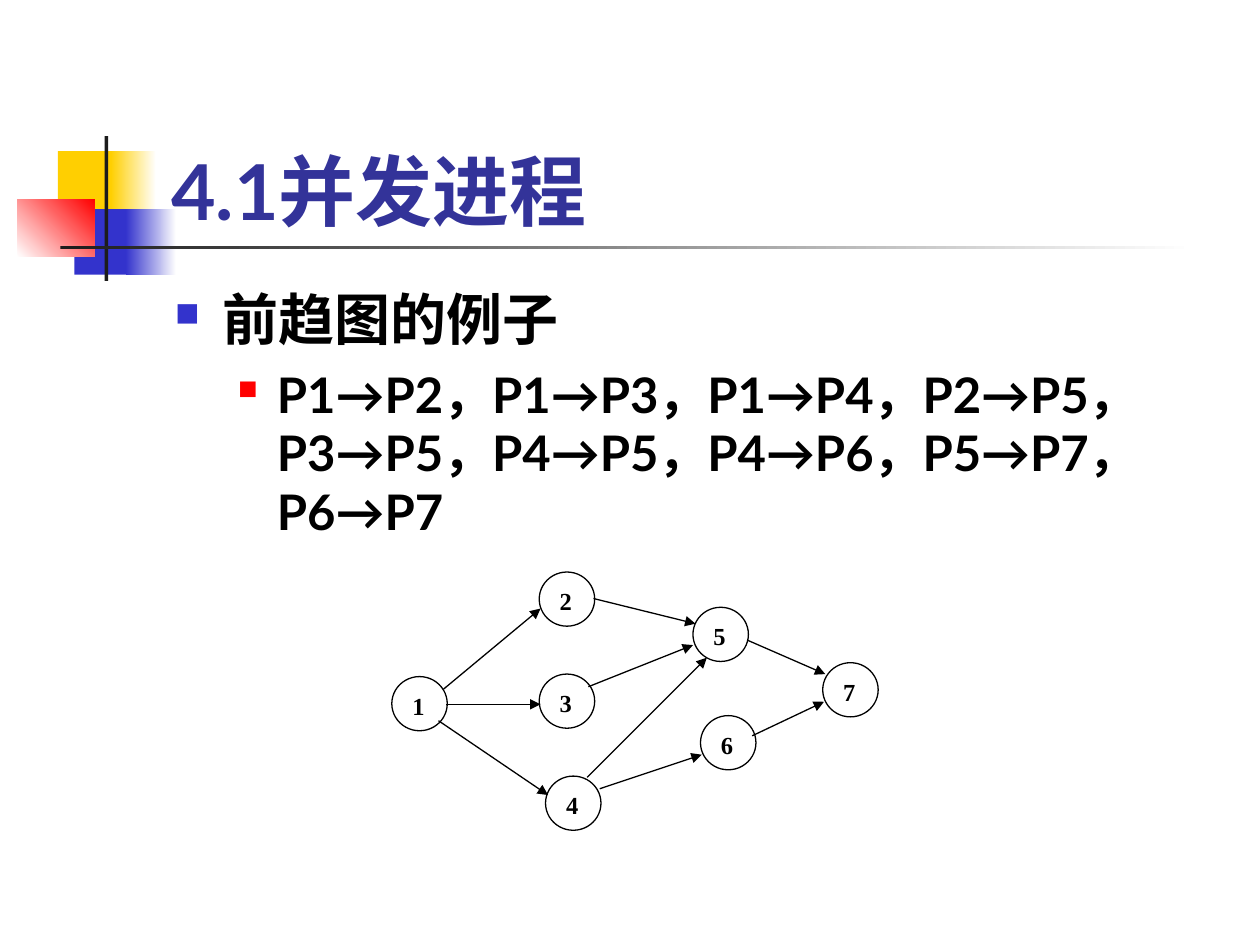
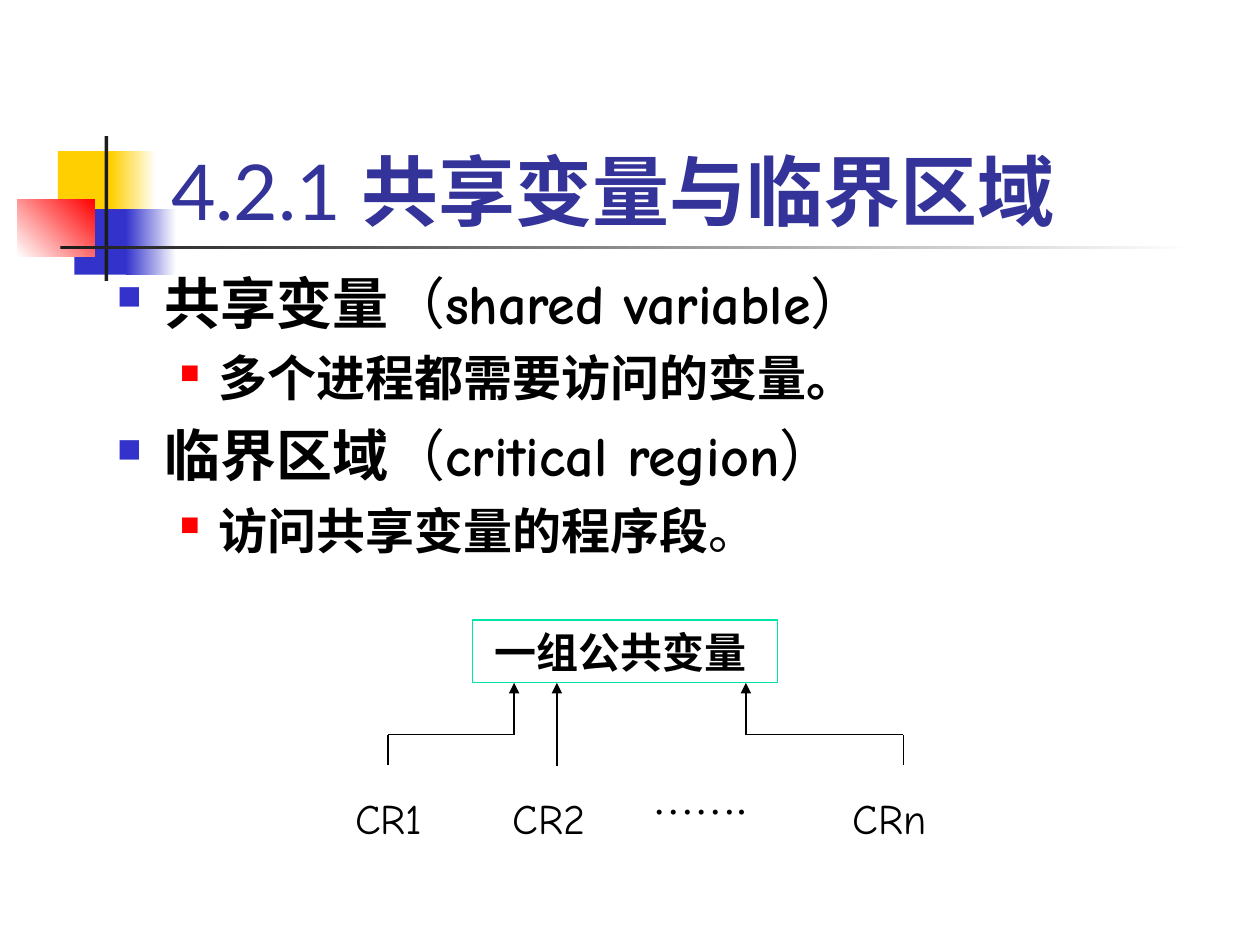
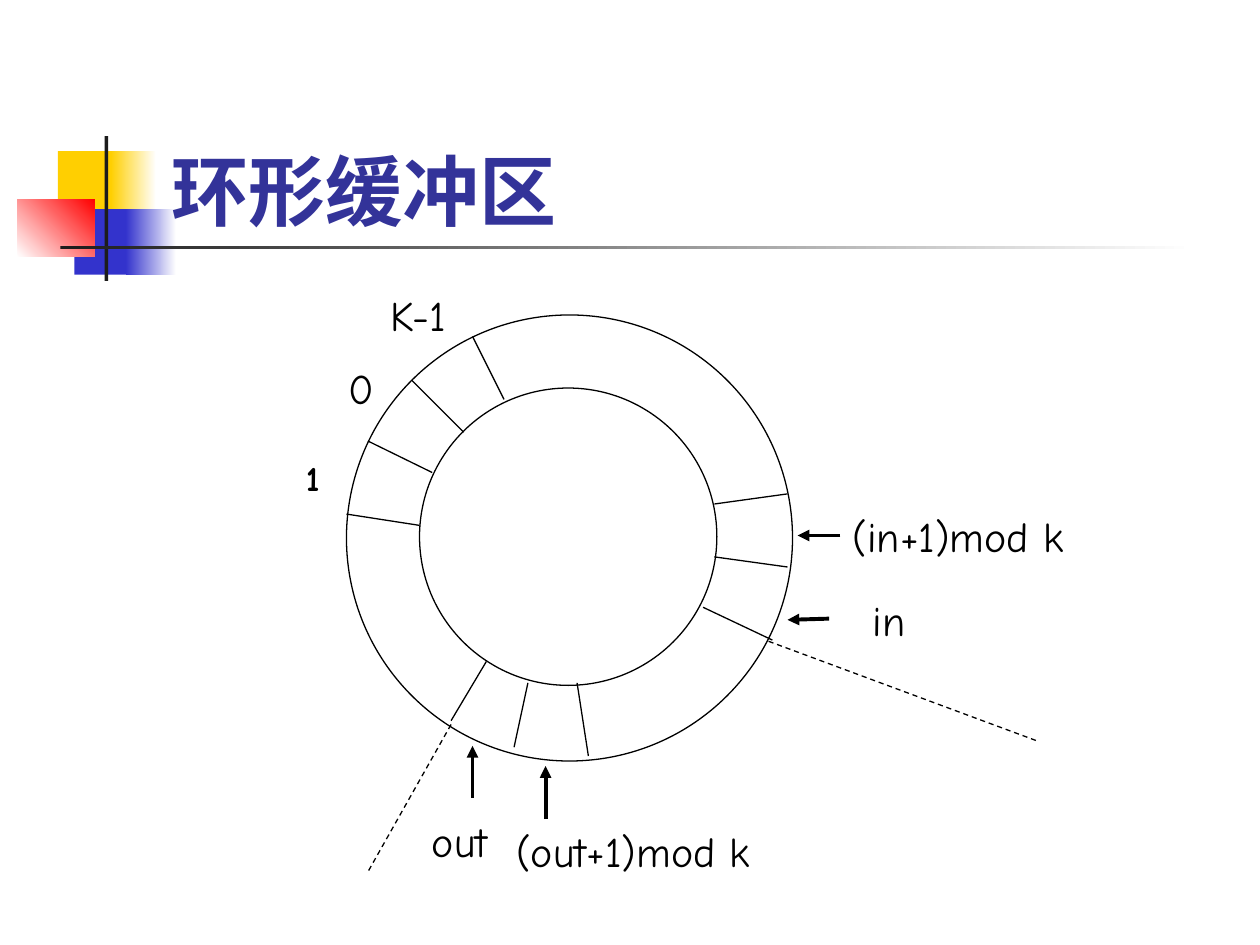
from lxml.etree import SubElement
from pptx import Presentation
from pptx.dml.color import RGBColor
from pptx.enum.dml import MSO_LINE
from pptx.enum.shapes import MSO_CONNECTOR, MSO_SHAPE
from pptx.enum.text import MSO_ANCHOR, PP_ALIGN
from pptx.oxml.ns import qn
from pptx.util import Inches, Pt

BLACK = RGBColor(0, 0, 0)
WHITE = RGBColor(255, 255, 255)
INK = RGBColor(0x1C, 0x1C, 0x1C)
NAVY = RGBColor(0x33, 0x33, 0x99)
BLUE = RGBColor(0x33, 0x33, 0xCC)
GOLD = RGBColor(0xFF, 0xCF, 0x01)
RED = RGBColor(255, 0, 0)
MINT = RGBColor(0x00, 0xE4, 0xA8)
LATO, COMIC, TIMES = "Lato", "Comic Neue", "Times New Roman"

BANDS = [
    ((0.46, 1.2, 0.48, 0.52), (GOLD,), 0),
    ((0.88, 1.2, 0.36, 0.52), (GOLD, WHITE), 0),
    ((0.59, 1.66, 0.46, 0.52), (BLUE,), 0),
    ((1, 1.66, 0.4, 0.52), (BLUE, WHITE), 0),
    ((0.14, 1.58, 0.61, 0.46), (WHITE, RED), 45),
    ((0.83, 1.08, 0.03, 1.15), (INK,), 0),
    ((0.48, 1.95, 9, 0.03), (INK, WHITE), 0),
]
TITLE = (1.26, 0.67, 8.52, 1.25)
LEVELS = [
    dict(size=32, left=0.38, hang=0.38, before=8, color=BLUE, share=60),
    dict(size=28, left=0.81, hang=0.31, before=7, color=RED, share=55),
]

GRAPH_TEXT = [
    (0, [("前趋图的例子", True, LATO)]),
    (1, [("P1→P2，P1→P3，P1→P4，P2→P5，P3→P5，P4→P5，P4→P6，P5→P7，P6→P7", True, LATO)]),
]
NODES = [(3.11, 5.37), (4.28, 4.54), (4.28, 5.35), (4.33, 6.16),
         (5.5, 4.82), (5.56, 5.68), (6.53, 5.26)]
EDGES = [
    (3.52, 5.47, 4.29, 4.83), (3.54, 5.59, 4.29, 5.59), (3.48, 5.72, 4.35, 6.31),
    (4.76, 6.26, 5.57, 5.99), (4.67, 5.45, 5.5, 5.12), (4.71, 4.75, 5.52, 4.95),
    (5.93, 5.08, 6.55, 5.35), (5.97, 5.84, 6.54, 5.57), (4.66, 6.17, 5.61, 5.22),
]

SHARED_TEXT = [
    (0, [("共享变量", True, LATO), ("（", False, LATO),
         ("shared variable", True, COMIC), ("）", False, LATO)]),
    (1, [("多个进程都需要访问的变量。", True, LATO)]),
    (0, [("临界区域", True, LATO), ("（", False, LATO),
         ("critical region", True, COMIC), ("）", False, LATO)]),
    (1, [("访问共享变量的程序段", True, LATO), ("。", False, LATO)]),
]
REGIONS = [("CR1", 2.72, 0.87), ("CR2", 3.97, 0.87), ("CRn", 6.67, 0.92)]
BENDS = [(3.08, 4.08), (7.17, 5.92)]
FOOT, BEND, POOL = 6.07, 5.83, 5.42

RINGS = [(2.75, 2.5, 3.54, 3.54), (3.33, 3.08, 2.36, 2.36)]
SPOKES = [
    (3.27, 3.02, 3.68, 3.43), (3.75, 2.67, 4, 3.17), (2.92, 3.5, 3.43, 3.75),
    (2.75, 4.08, 3.33, 4.17), (5.67, 4.42, 6.25, 4.5), (5.58, 4.82, 6.13, 5.08),
    (5.67, 4, 6.25, 3.92), (4.58, 5.42, 4.67, 6), (3.86, 5.25, 3.58, 5.72),
    (4.19, 5.42, 4.08, 5.93),
]
POINTERS = [(6.67, 4.25, 6.33, 4.25), (6.58, 4.91, 6.25, 4.92),
            (4.33, 6.5, 4.33, 6.08), (3.75, 6.33, 3.75, 5.92)]
DASHES = [(6.1, 5.09, 8.23, 5.88), (3.58, 5.75, 2.92, 6.92)]
LABELS = [("0", 2.67, 2.83, 0.5), ("K-1", 3, 2.25, 0.75), ("in", 6.83, 4.67, 0.5),
          ("(in+1)mod k", 6.67, 4, 2.08), ("out", 3.33, 6.42, 0.75),
          ("(out+1)mod k", 4, 6.5, 2.42)]


def place(box):
    return [Inches(v) for v in box]


def style(font, size=None, color=None, bold=None, name=None):
    if size:
        font.size = Pt(size)
    if color is not None:
        font.color.rgb = color
    if bold is not None:
        font.bold = bold
    if name:
        font.name = name


def fill_runs(para, runs, size, color=BLACK):
    same = len({run[1:] for run in runs}) == 1
    style(para.font, size, color, *(runs[0][1:] if same else ()))
    for text, bold, name in runs:
        run = para.add_run()
        run.text = text
        if not same:
            style(run.font, bold=bold, name=name)


def add_box(slide, box):
    shape = slide.shapes.add_textbox(*place(box))
    shape.text_frame.word_wrap = True
    return shape


def add_label(slide, text, box, size=24, bold=False, name=COMIC, ratio=None):
    shape = add_box(slide, box)
    para = shape.text_frame.paragraphs[0]
    para.space_before = Pt(size * 0.625)
    if ratio:
        para.line_spacing = ratio
    fill_runs(para, [(text, bold, name)], size)
    return shape


def add_line(slide, ends, width=0.75, arrow=False, dash=False):
    line = slide.shapes.add_connector(MSO_CONNECTOR.STRAIGHT, *place(ends))
    line.line.color.rgb = BLACK
    line.line.width = Pt(width)
    if dash:
        line.line.dash_style = MSO_LINE.DASH
    if arrow:
        SubElement(line.line._get_or_add_ln(), qn("a:tailEnd"), type="triangle")
    SubElement(line._element.spPr, qn("a:effectLst"))


def add_ring(slide, box):
    ring = slide.shapes.add_shape(MSO_SHAPE.OVAL, *place(box))
    ring.shadow.inherit = False
    ring.fill.solid()
    ring.fill.fore_color.rgb = WHITE
    ring.line.color.rgb = BLACK
    ring.line.width = Pt(0.75)
    return ring


def add_band(slide, box, colors, angle):
    band = slide.shapes.add_shape(MSO_SHAPE.RECTANGLE, *place(box))
    band.shadow.inherit = False
    band.line.fill.background()
    if len(colors) == 1:
        band.fill.solid()
        band.fill.fore_color.rgb = colors[0]
        return
    band.fill.gradient()
    band.fill.gradient_angle = angle
    for stop, color in zip(band.fill.gradient_stops, colors):
        stop.color.rgb = color


def add_bullet(para, left, hang, color, share):
    props = para._p.get_or_add_pPr()
    props.set("marL", str(Inches(left)))
    props.set("indent", str(-Inches(hang)))
    tint = SubElement(props, qn("a:buClr"))
    SubElement(tint, qn("a:srgbClr"), val=str(color))
    SubElement(props, qn("a:buSzPct"), val=str(share * 1000))
    SubElement(props, qn("a:buChar"), char="■")


def add_body(slide, box, items):
    frame = add_box(slide, box).text_frame
    for i, (level, runs) in enumerate(items):
        para = frame.add_paragraph() if i else frame.paragraphs[0]
        rule = LEVELS[level]
        para.level = level
        add_bullet(para, rule["left"], rule["hang"], rule["color"], rule["share"])
        para.space_before = Pt(rule["before"])
        fill_runs(para, runs, rule["size"])


def add_page(deck, title):
    slide = deck.slides.add_slide(deck.slide_layouts[6])
    for band in BANDS:
        add_band(slide, *band)
    frame = add_box(slide, TITLE).text_frame
    frame.vertical_anchor = MSO_ANCHOR.BOTTOM
    fill_runs(frame.paragraphs[0], title, 44, NAVY)
    return slide


def draw_graph(deck):
    slide = add_page(deck, [("4.1并发进程", True, LATO)])
    add_body(slide, (1.29, 2.21, 8.5, 4.5), GRAPH_TEXT)
    for i, spot in enumerate(NODES, 1):
        frame = add_ring(slide, (*spot, 0.44, 0.43)).text_frame
        frame.vertical_anchor = MSO_ANCHOR.TOP
        para = frame.paragraphs[0]
        para.alignment = PP_ALIGN.JUSTIFY
        fill_runs(para, [(str(i), True, TIMES)], 14)
    for ends in EDGES:
        add_line(slide, ends, arrow=True)


def draw_shared(deck):
    slide = add_page(deck, [("4.2.1 ", False, LATO), ("共享变量与临界区域", True, LATO)])
    add_body(slide, (0.83, 2.08, 8.5, 4.92), SHARED_TEXT)
    pool = add_label(slide, " 一组公共变量", (3.75, 4.92, 2.42, 0.5), bold=True, name=TIMES)
    pool.line.color.rgb = MINT
    pool.line.width = Pt(0.75)
    for text, left, width in REGIONS:
        add_label(slide, text, (left, 6.08, width, 0.59), ratio=1.4)
    add_label(slide, "…….", (5.08, 6.08, 1.17, 0.5), name=TIMES)
    for start, end in BENDS:
        add_line(slide, (start, FOOT, start, BEND))
        add_line(slide, (start, BEND, end, BEND))
        add_line(slide, (end, BEND, end, POOL), arrow=True)
    add_line(slide, (4.42, 6.08, 4.42, POOL), arrow=True)


def draw_buffer(deck):
    slide = add_page(deck, [("环形缓冲区", True, LATO)])
    for box in RINGS:
        add_ring(slide, box)
    for ends in SPOKES:
        add_line(slide, ends)
    for ends in POINTERS:
        add_line(slide, ends, width=2.25, arrow=True)
    for ends in DASHES:
        add_line(slide, ends, dash=True)
    add_label(slide, "1", (2.33, 3.57, 0.5, 0.44), size=20, bold=True)
    for text, left, top, width in LABELS:
        add_label(slide, text, (left, top, width, 0.5))


def main():
    deck = Presentation()
    deck.slide_width, deck.slide_height = Inches(10), Inches(7.5)
    for draw in (draw_graph, draw_shared, draw_buffer):
        draw(deck)
    deck.save("out.pptx")


if __name__ == "__main__":
    main()
